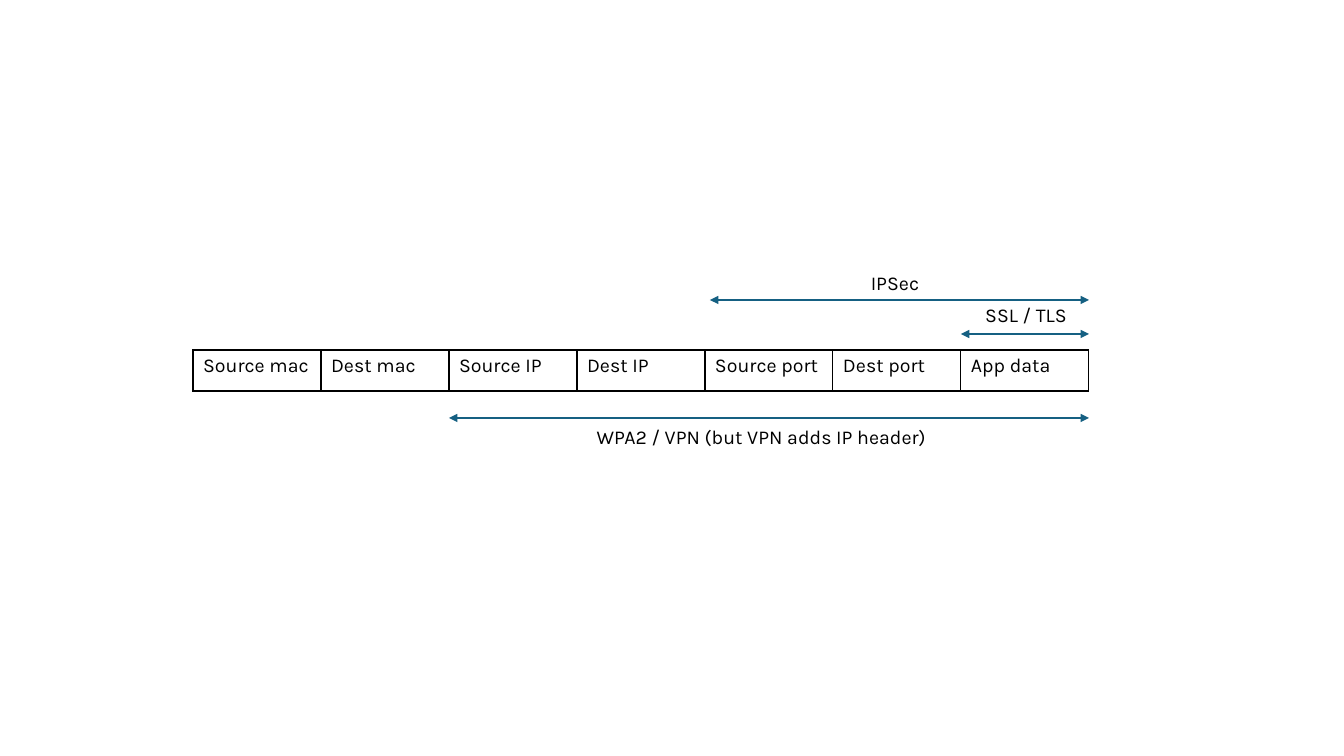
"""Build a slide showing which packet fields each security protocol protects."""
from lxml import etree
from pptx import Presentation
from pptx.dml.color import RGBColor
from pptx.enum.shapes import MSO_CONNECTOR
from pptx.enum.text import PP_ALIGN
from pptx.oxml.ns import qn
from pptx.util import Pt

STRAIGHT = MSO_CONNECTOR.STRAIGHT
LEFT, CENTER = PP_ALIGN.LEFT, PP_ALIGN.CENTER
PX = 914400 / 100.8
THEME = {
    "font": "Karla",
    "text": "000000",
    "border": "000000",
    "arrow": "156082",
    "text_size": 14,
    "border_width": 1,
    "arrow_width": 1.5,
}


def px(length):
    """Turn a length in px into EMU."""
    return round(length * PX)


def write_text(frame, text, align=LEFT, size=THEME["text_size"], color=THEME["text"]):
    """Write one formatted paragraph into a text frame."""
    paragraph = frame.paragraphs[0]
    paragraph.alignment = align
    run = paragraph.add_run()
    run.text = text
    run.font.name = THEME["font"]
    run.font.size = Pt(size)
    run.font.color.rgb = RGBColor.from_string(color)


presentation = Presentation()
presentation.slide_width = px(1344)
presentation.slide_height = px(756)
slide = presentation.slides.add_slide(presentation.slide_layouts[6])

FIELDS = ["Source mac", "Dest mac", "Source IP", "Dest IP",
          "Source port", "Dest port", "App data"]
TABLE_LEFT, TABLE_TOP, FIELD_WIDTH, FIELD_HEIGHT = 193, 350, 128, 41
TABLE_RIGHT = TABLE_LEFT + FIELD_WIDTH * len(FIELDS)

table = slide.shapes.add_table(
    1, len(FIELDS), px(TABLE_LEFT), px(TABLE_TOP),
    px(FIELD_WIDTH * len(FIELDS)), px(FIELD_HEIGHT)).table
table.first_row = False
table.horz_banding = False
for column, field in enumerate(FIELDS):
    table.columns[column].width = px(FIELD_WIDTH)
    cell = table.cell(0, column)
    write_text(cell.text_frame, field)
    cell_properties = cell._tc.get_or_add_tcPr()
    for side in ("a:lnL", "a:lnR", "a:lnT", "a:lnB"):
        border = etree.SubElement(cell_properties, qn(side),
                                  w=str(Pt(THEME["border_width"])))
        border_fill = etree.SubElement(border, qn("a:solidFill"))
        etree.SubElement(border_fill, qn("a:srgbClr"), val=THEME["border"])
    cell.fill.background()

LABEL_HEIGHT = 34
SPANS = [
    ("SSL / TLS", TABLE_LEFT + 6 * FIELD_WIDTH, 334, 943, 298, 166),
    ("IPSec", 710, 300, 812, 266, 166),
    ("WPA2 / VPN (but VPN adds IP header)",
     TABLE_LEFT + 2 * FIELD_WIDTH, 418, 571, 420, 381),
]
for text, arrow_left, arrow_y, label_left, label_top, label_width in SPANS:
    arrow = slide.shapes.add_connector(
        STRAIGHT, px(arrow_left), px(arrow_y), px(TABLE_RIGHT), px(arrow_y))
    arrow.line.color.rgb = RGBColor.from_string(THEME["arrow"])
    arrow.line.width = Pt(THEME["arrow_width"])
    for end in ("a:headEnd", "a:tailEnd"):
        etree.SubElement(arrow.line._get_or_add_ln(), qn(end), type="triangle")
    etree.SubElement(arrow._element.spPr, qn("a:effectLst"))

    label = slide.shapes.add_textbox(
        px(label_left), px(label_top), px(label_width), px(LABEL_HEIGHT))
    label.text_frame.word_wrap = True
    write_text(label.text_frame, text, align=CENTER)

presentation.save("out.pptx")
